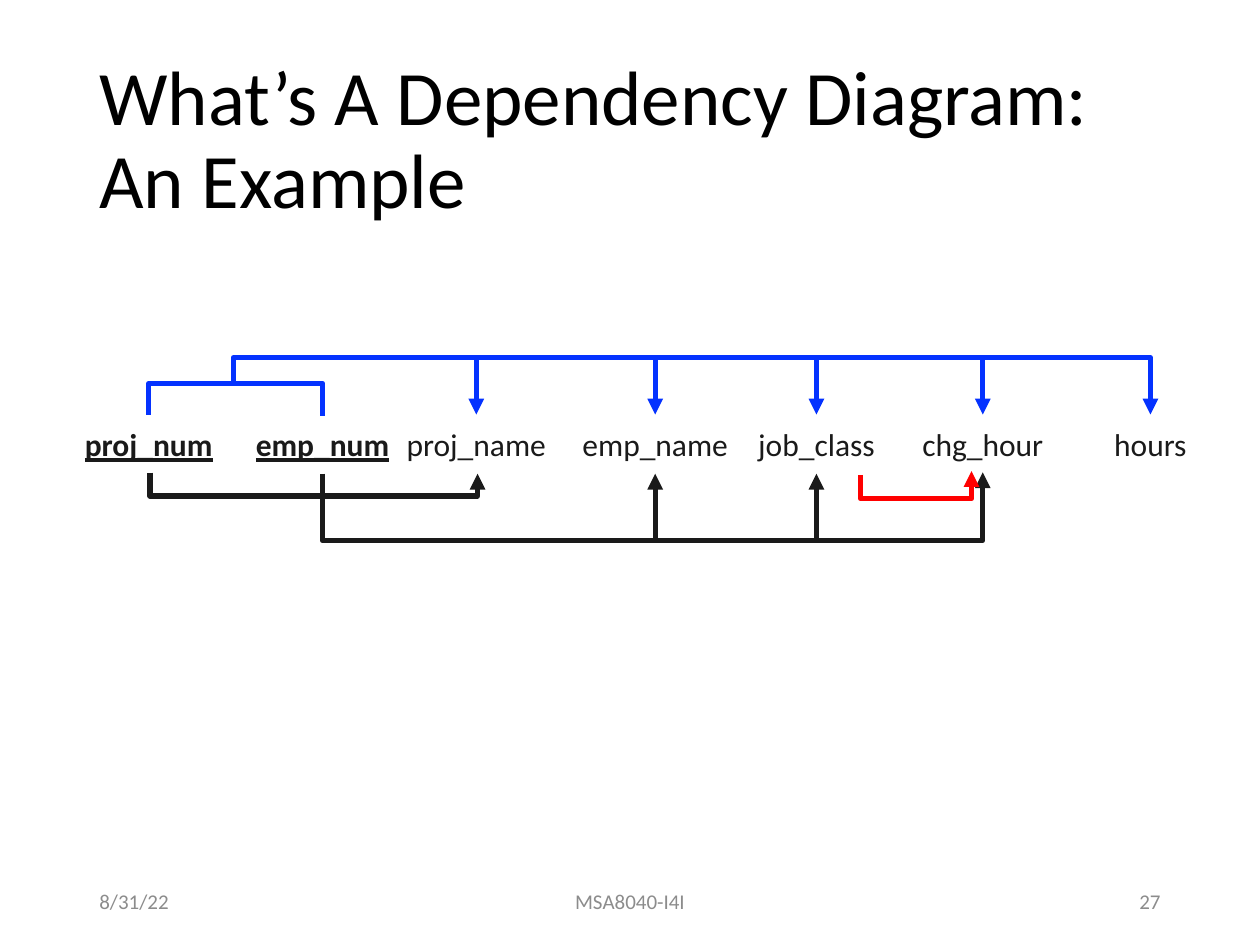
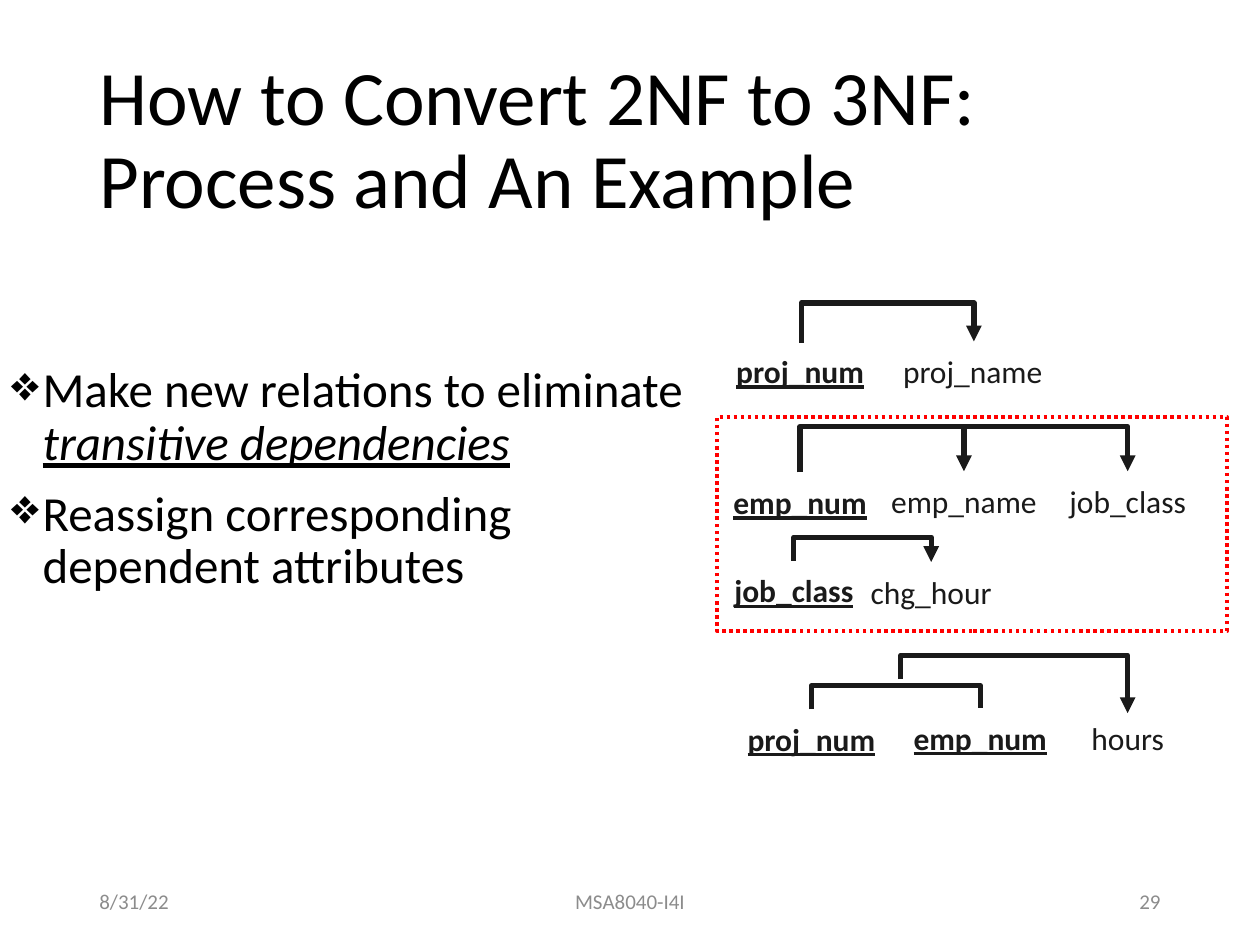
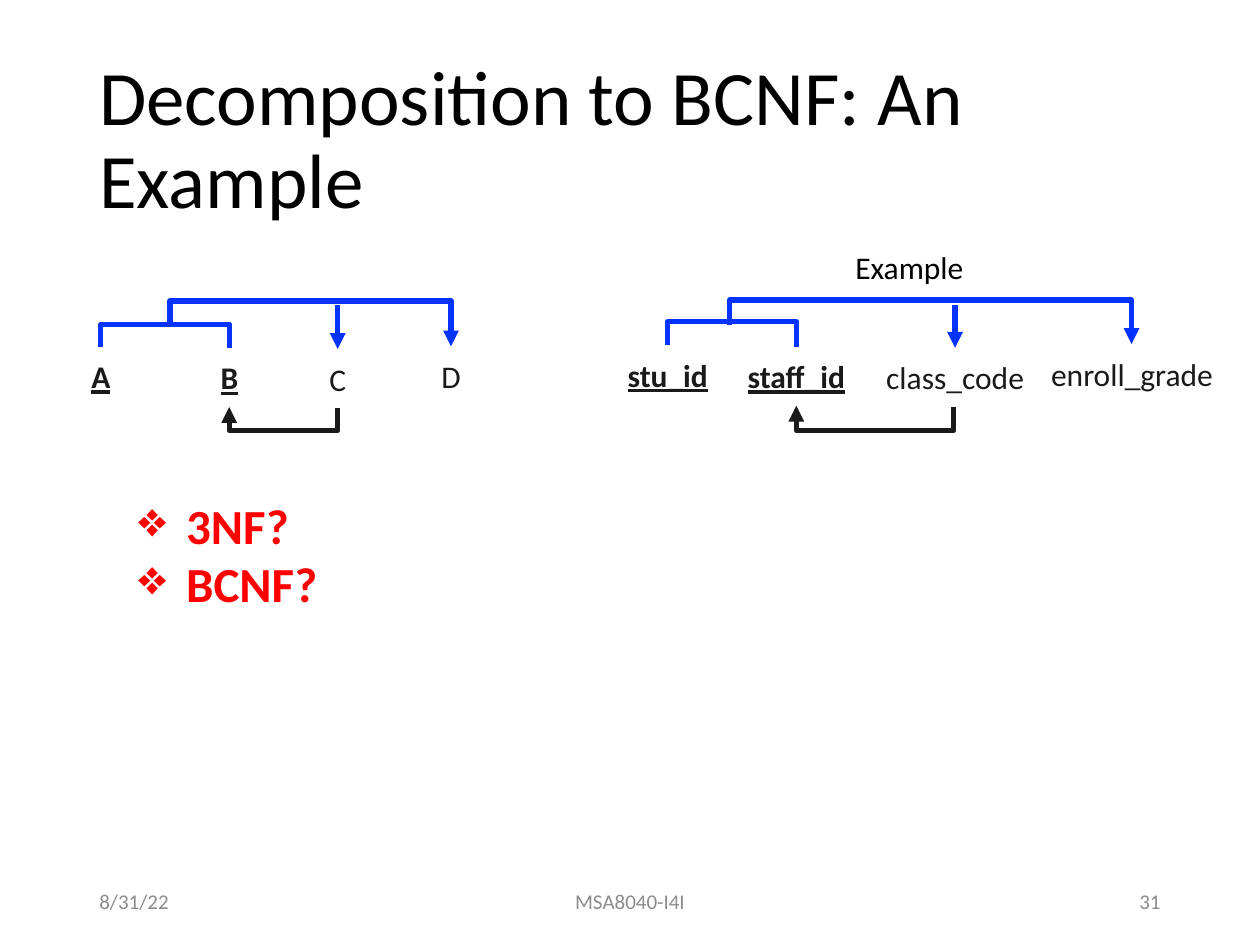
"""Build three slides on dependency diagrams and normal forms."""
from dataclasses import dataclass

from lxml.etree import SubElement
from pptx import Presentation
from pptx.dml.color import RGBColor as RGB
from pptx.enum.dml import MSO_LINE
from pptx.enum.shapes import MSO_CONNECTOR as LINK, MSO_SHAPE
from pptx.enum.text import MSO_ANCHOR as ANCHOR, MSO_AUTO_SIZE as FIT, PP_ALIGN as ALIGN
from pptx.oxml.ns import qn
from pptx.util import Inches, Pt


@dataclass(frozen=True)
class Theme:
    font: str = "Calibri"
    black: str = "000000"
    ink: str = "1A1A1A"
    grey: str = "8C8C8C"
    blue: str = "0432FF"
    red: str = "FF0000"
    title: int = 44
    body: int = 28
    label: int = 18
    footer: int = 12
    line: int = 3
    border: int = 2


theme = Theme()


def write(slide, box, text, size, color=theme.black, align=ALIGN.LEFT, anchor=ANCHOR.MIDDLE,
          bold=False, underline=False, emphasis="", spacing=None, before=None,
          indent=None, wrap=True):
    area = slide.shapes.add_textbox(*map(Inches, box))
    frame = area.text_frame
    frame.word_wrap = wrap
    frame.auto_size = FIT.NONE if wrap else FIT.SHAPE_TO_FIT_TEXT
    frame.vertical_anchor = anchor
    for number, words in enumerate(text.split("\n")):
        para = frame.paragraphs[0] if number == 0 else frame.add_paragraph()
        para.alignment = align
        para.line_spacing = spacing
        if before:
            para.space_before = Pt(before)
        if indent:
            props = para._p.get_or_add_pPr()
            props.set("marL", str(Inches(indent)))
            props.set("indent", str(-Inches(indent)))
            SubElement(props, qn("a:buChar"), char="❖")
        parts = words.partition(emphasis) if emphasis else (words,)
        for part in filter(None, parts):
            stressed = part == emphasis
            run = para.add_run()
            run.text = part
            run.font.name = theme.font
            run.font.size = Pt(size)
            run.font.color.rgb = RGB.from_string(color)
            run.font.bold = bold
            run.font.italic = stressed
            run.font.underline = underline or stressed
    return area


def link(slide, start, end, color, rail=None, arrow=True):
    """Draw a straight line, or a bracket that runs along the height given by rail."""
    (x1, y1), (x2, y2) = start, end
    kind = LINK.STRAIGHT if rail is None else LINK.ELBOW
    line = slide.shapes.add_connector(kind, *map(Inches, (x1, y1, x2, y2)))
    line.line.color.rgb = RGB.from_string(color)
    line.line.width = Pt(theme.line)
    props = line._element.spPr
    if rail is not None:
        rise, span = y2 - y1, abs(x2 - x1)
        line.width, line.height = Inches(abs(rise)), Inches(span)
        line.left = Inches((x1 + x2 - abs(rise)) / 2)
        line.top = Inches((y1 + y2 - span) / 2)
        frame = props.find(qn("a:xfrm"))
        frame.set("rot", str((270 if rise > 0 else 90) * 60000))
        frame.set("flipH", "1")
        frame.set("flipV", str(int((rise < 0) == (x2 > x1))))
        guides = props.find(qn("a:prstGeom")).get_or_add_avLst()
        bend = round((rail - y1) / rise * 100000)
        SubElement(guides, qn("a:gd"), name="adj1", fmla=f"val {bend}")
    if arrow:
        SubElement(props.find(qn("a:ln")), qn("a:tailEnd"), type="triangle")
    SubElement(props, qn("a:effectLst"))
    return line


ink, blue, red = theme.ink, theme.blue, theme.red
label_height = 0.47

# Labels: left, top, width, name, key. Brackets: start, end, rail, colour, arrow.
# Branches: rail height, label, side of the label (0 top, 2 bottom), colour.
pages = [
    dict(
        number="27", title="What’s A Dependency Diagram: An Example",
        labels=[
            (0.52, 3.29, 1.32, "proj_num", True), (1.85, 3.29, 1.42, "emp_num", True),
            (3.07, 3.29, 1.42, "proj_name", False), (4.49, 3.29, 1.42, "emp_name", False),
            (5.82, 3.29, 1.32, "job_class", False), (7.14, 3.29, 1.32, "chg_hour", False),
            (8.47, 3.29, 1.32, "hours", False)],
        brackets=[
            ((1.18, 3.29), (2.56, 3.3), 3.04, blue, False),
            ((1.19, 3.75), (3.79, 3.76), 3.94, ink, True),
            ((2.56, 3.76), (7.8, 3.75), 4.3, ink, True),
            ((1.85, 3.03), (9.13, 3.29), 2.84, blue, True),
            ((6.83, 3.77), (7.71, 3.74), 3.96, red, True)],
        branches=[(2.85, name, 0, blue)
                  for name in ("proj_name", "emp_name", "job_class", "chg_hour")]
        + [(4.29, name, 2, ink) for name in ("emp_name", "job_class")]),
    dict(
        number="29", title="How to Convert 2NF to 3NF: Process and An Example",
        labels=[
            (5.69, 2.71, 1.32, "proj_num", True), (7.01, 2.71, 1.42, "proj_name", False),
            (5.64, 3.75, 1.42, "emp_num", True), (6.94, 3.74, 1.42, "emp_name", False),
            (8.29, 3.74, 1.32, "job_class", False), (5.64, 4.45, 1.32, "job_class", True),
            (6.73, 4.46, 1.32, "chg_hour", False), (5.43, 5.63, 2.02, "proj_num", True),
            (7.07, 5.62, 1.42, "emp_num", True), (8.29, 5.62, 1.32, "hours", False)],
        brackets=[
            ((6.36, 2.72), (7.73, 2.71), 2.4, ink, True),
            ((6.35, 3.75), (8.95, 3.74), 3.38, ink, True),
            ((6.3, 4.45), (7.39, 4.46), 4.26, ink, True),
            ((6.44, 5.63), (7.78, 5.62), 5.44, ink, False),
            ((7.15, 5.39), (8.95, 5.66), 5.2, ink, True)],
        branches=[(3.37, "emp_name", 0, ink)]),
    dict(
        number="31", title="Decomposition to BCNF: An Example",
        labels=[
            (0.14, 2.75, 1.32, "A", True), (1.11, 2.76, 1.42, "B", True),
            (1.97, 2.77, 1.42, "C", False), (2.87, 2.75, 1.42, "D", False),
            (4.47, 2.74, 1.66, "stu_id", True), (5.43, 2.75, 1.78, "staff_id", True),
            (6.69, 2.76, 1.78, "class_code", False), (7.97, 2.73, 2.03, "enroll_grade", False)],
        brackets=[
            ((0.8, 2.75), (1.82, 2.76), 2.57, blue, False),
            ((2.68, 3.24), (1.82, 3.23), 3.42, ink, True),
            ((1.35, 2.58), (3.58, 2.75), 2.39, blue, True),
            ((5.3, 2.74), (6.32, 2.75), 2.55, blue, False),
            ((7.57, 3.23), (6.32, 3.22), 3.42, ink, True),
            ((5.79, 2.58), (8.98, 2.73), 2.38, blue, True)],
        branches=[(2.42, name, 0, blue) for name in ("C", "class_code")]),
]

deck = Presentation()
deck.slide_width, deck.slide_height = Inches(10), Inches(7.5)
slides = []
for page in pages:
    slide = deck.slides.add_slide(deck.slide_layouts[6])
    slides.append(slide)
    write(slide, (0.69, 0.4, 8.62, 1.45), page["title"], theme.title, spacing=0.9)
    for left, width, words, align in (
            (0.69, 2.25, "8/31/22", ALIGN.LEFT),
            (3.31, 3.38, "MSA8040-I4I", ALIGN.CENTER),
            (7.06, 2.25, page["number"], ALIGN.RIGHT)):
        write(slide, (left, 6.95, width, 0.4), words, theme.footer, theme.grey, align)

    attributes = {}
    for left, top, width, name, key in page["labels"]:
        label = write(slide, (left, top, width, label_height), name, theme.label, ink,
                      ALIGN.CENTER, bold=key, underline=key)
        attributes.setdefault(name, (label, left + width / 2, top))
    for start, end, rail, color, arrow in page["brackets"]:
        link(slide, start, end, color, rail, arrow)
    for rail, name, side, color in page["branches"]:
        label, center, top = attributes[name]
        tip = top if side == 0 else top + label_height
        link(slide, (center, rail), (center, tip), color).end_connect(label, side)

example, conversion, decomposition = slides

new_relations = conversion.shapes.add_shape(
    MSO_SHAPE.RECTANGLE, *map(Inches, (5.69, 3.31, 4.05, 1.7)))
new_relations.shadow.inherit = False
new_relations.fill.background()
new_relations.line.color.rgb = RGB.from_string(red)
new_relations.line.width = Pt(theme.border)
new_relations.line.dash_style = MSO_LINE.ROUND_DOT
write(conversion, (-0.01, 2.85, 5.81, 3.42),
      "Make new relations to eliminate transitive dependencies\n"
      "Reassign corresponding dependent attributes",
      theme.body, anchor=ANCHOR.TOP, emphasis="transitive dependencies",
      spacing=0.9, before=10, indent=0.25)

write(decomposition, (1, 3.88, 1.63, 1.04), "3NF?\nBCNF?", theme.body, red,
      anchor=ANCHOR.TOP, bold=True, indent=0.38, wrap=False)
write(decomposition, (6.69, 1.92, 1.07, 0.4), "Example", theme.label,
      anchor=ANCHOR.TOP, wrap=False)

deck.save("out.pptx")
